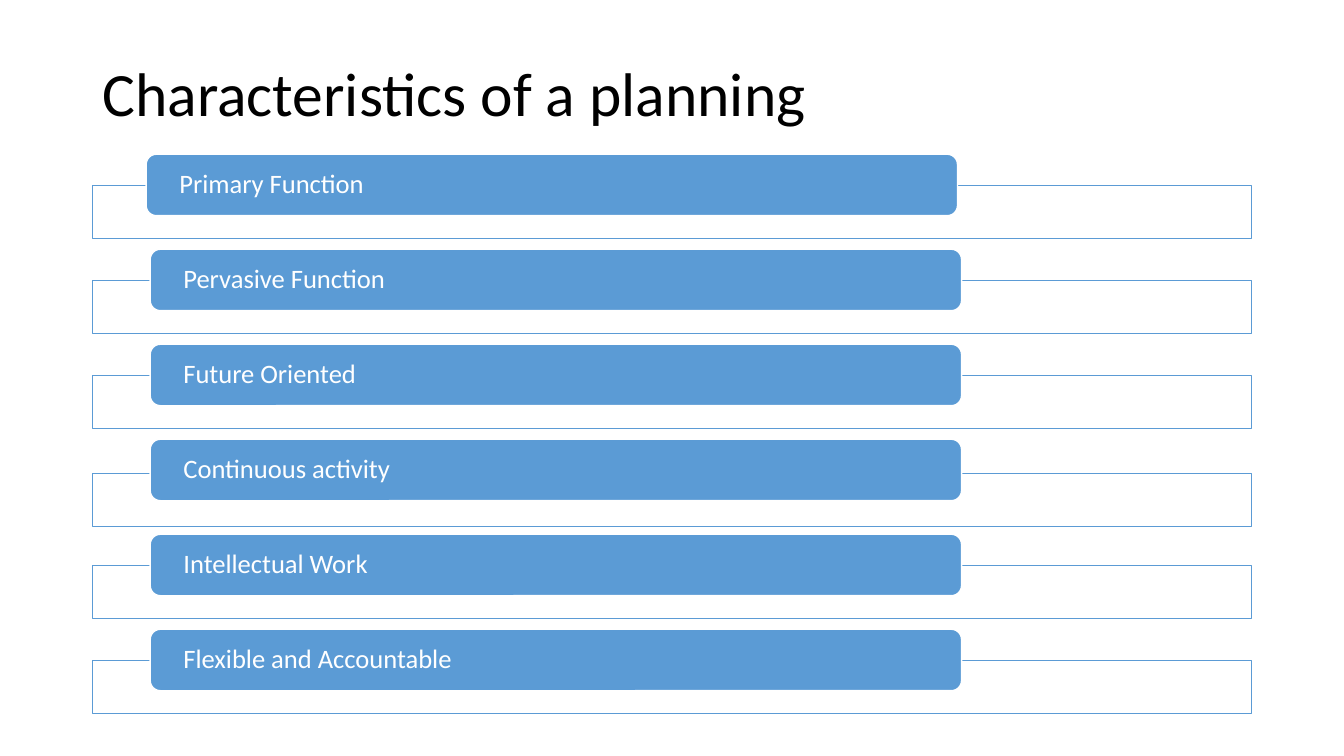
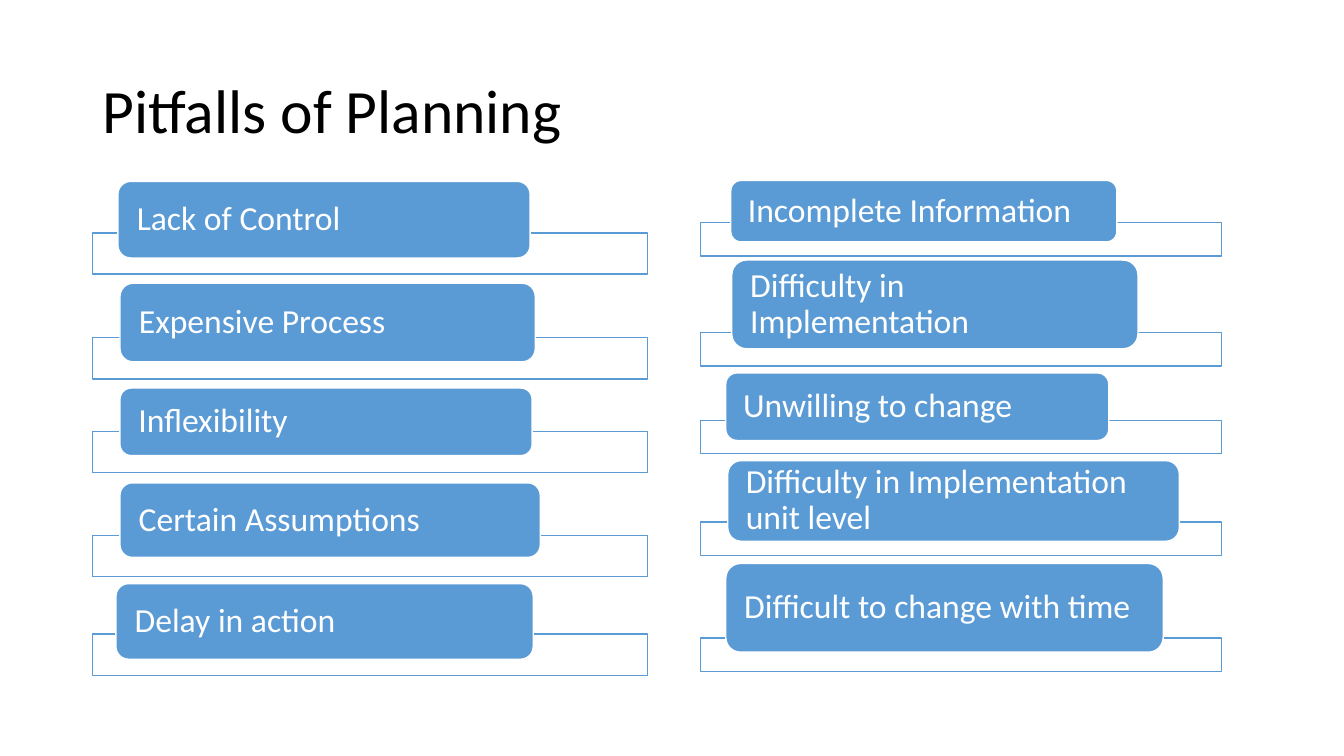
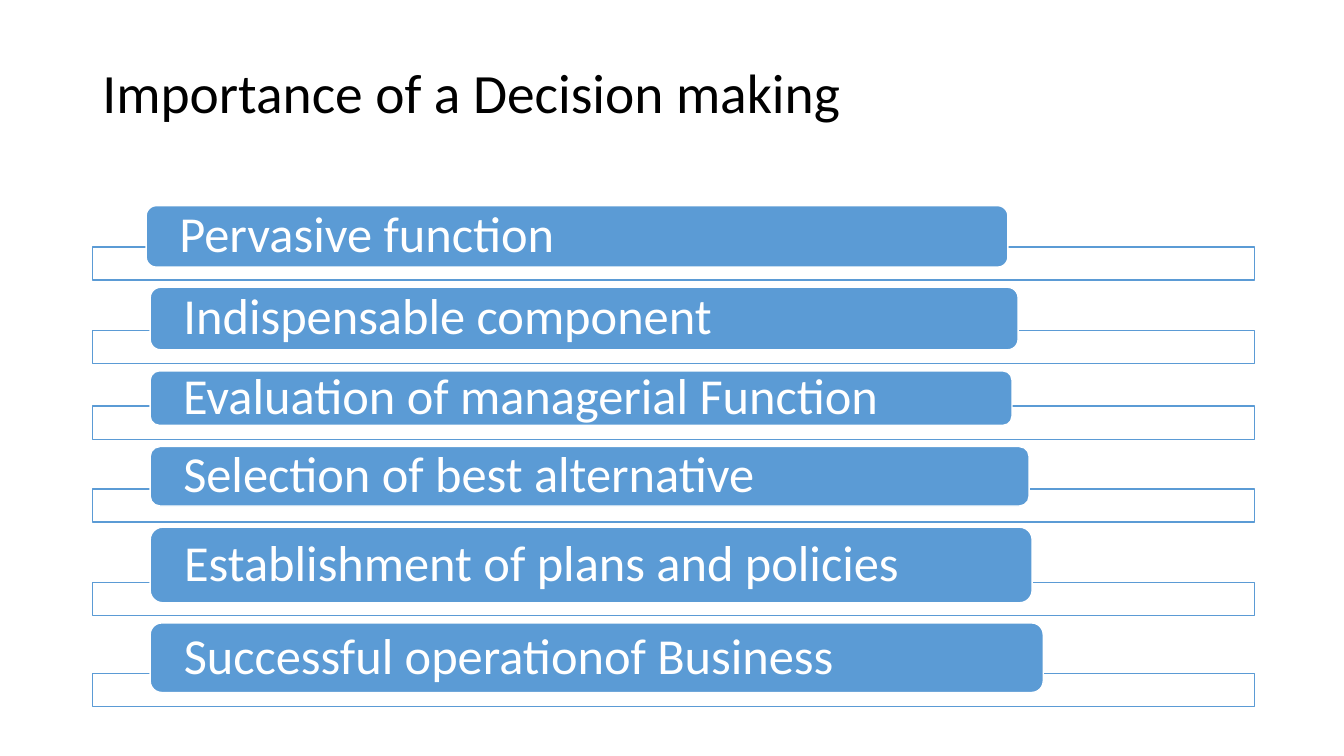
from dataclasses import dataclass
from typing import NamedTuple

from lxml import etree
from pptx import Presentation
from pptx import util as u
from pptx.dml.color import RGBColor
from pptx.enum import shapes, text
from pptx.oxml import ns

COLUMNS, ROWS = 40, 30
SLIDE_WIDTH, SLIDE_HEIGHT = u.Inches(13.333), u.Inches(7.5)
MARGIN = 2.75


@dataclass(frozen=True)
class Theme:
    """Colours, font and type sizes of the presentation."""
    font: str = "Calibri"
    accent: RGBColor = RGBColor(0x5B, 0x9B, 0xD5)
    paper: RGBColor = RGBColor(0xFF, 0xFF, 0xFF)
    ink: RGBColor = RGBColor(0, 0, 0)
    title: float = 44
    long_title: float = 39.6
    small: float = 19
    medium: float = 24
    large: float = 36
    line: float = 1
    line_spacing: float = 0.9
    track_opacity: int = 90


THEME = Theme()


class Box(NamedTuple):
    """A place on the grid, in columns and rows."""
    left: float
    top: float
    width: float
    height: float


class Item(NamedTuple):
    """A label on a rounded pill, and the top of the track behind it."""
    label: str
    pill: Box
    track_top: float


@dataclass(frozen=True)
class ItemList:
    """A column of items whose tracks share one left edge and size."""
    items: list[Item]
    track_left: float
    track_width: float
    track_height: float
    inset: float
    size: float


@dataclass(frozen=True)
class Page:
    """One slide: its title and its lists."""
    title: str
    title_box: Box
    title_size: float
    lists: list[ItemList]


def across(columns: float) -> int:
    """Turn grid columns into a length."""
    return round(SLIDE_WIDTH * columns / COLUMNS)


def down(rows: float) -> int:
    """Turn grid rows into a length."""
    return round(SLIDE_HEIGHT * rows / ROWS)


def place(box: Box) -> tuple[int, int, int, int]:
    """Turn a grid box into left, top, width and height."""
    return across(box.left), down(box.top), across(box.width), down(box.height)


def set_all(target, values: dict) -> None:
    """Set each named attribute on the target."""
    for name, value in values.items():
        setattr(target, name, value)


def write(shape, wording: str, size: float, color: RGBColor, inset: dict) -> None:
    """Put one left-aligned, vertically centred paragraph in a shape."""
    frame = shape.text_frame
    frame.text = wording
    set_all(frame, {"word_wrap": True, "auto_size": text.MSO_AUTO_SIZE.NONE,
                    "vertical_anchor": text.MSO_ANCHOR.MIDDLE, **inset})
    paragraph = frame.paragraphs[0]
    set_all(paragraph, {"alignment": text.PP_ALIGN.LEFT,
                        "line_spacing": THEME.line_spacing})
    font = paragraph.runs[0].font
    set_all(font, {"name": THEME.font, "size": u.Pt(size)})
    font.color.rgb = color


def add_block(group, kind, box: Box, fill: RGBColor, line: RGBColor):
    """Add a filled, outlined shape without a shadow."""
    shape = group.shapes.add_shape(kind, *place(box))
    shape.shadow.inherit = False
    shape.fill.solid()
    shape.fill.fore_color.rgb = fill
    shape.line.color.rgb = line
    shape.line.width = u.Pt(THEME.line)
    return shape


def set_opacity(shape, percent: int) -> None:
    """Make a solid shape fill partly transparent."""
    color = shape.element.spPr.find(ns.qn("a:solidFill"))[0]
    etree.SubElement(color, ns.qn("a:alpha"), val=str(percent * 1000))


def add_list(slide, item_list: ItemList) -> None:
    """Draw each item of a list as a pill over its track."""
    group = slide.shapes.add_group_shape()
    inset = {"margin_left": across(item_list.inset), "margin_top": 0,
             "margin_right": across(item_list.inset), "margin_bottom": 0}
    for item in item_list.items:
        track_box = Box(item_list.track_left, item.track_top,
                        item_list.track_width, item_list.track_height)
        track = add_block(group, shapes.MSO_SHAPE.RECTANGLE, track_box,
                          THEME.paper, THEME.accent)
        set_opacity(track, THEME.track_opacity)
        pill = add_block(group, shapes.MSO_SHAPE.ROUNDED_RECTANGLE, item.pill,
                         THEME.accent, THEME.paper)
        write(pill, item.label, item_list.size, THEME.paper, inset)


def add_page(presentation, page: Page) -> None:
    """Add a title-only slide with its lists."""
    slide = presentation.slides.add_slide(presentation.slide_layouts[5])
    title = slide.shapes.title
    set_all(title, dict(zip(("left", "top", "width", "height"),
                            place(page.title_box))))
    write(title, page.title, page.title_size, THEME.ink, {})
    for item_list in page.lists:
        add_list(slide, item_list)


def even_items(labels: list[str]) -> list[Item]:
    """Space equal pills evenly; the first sits left, the fourth track low."""
    pitch = 3.77
    return [Item(label,
                 Box(4.47 if index else 4.35, 6.12 + pitch * index, 24.15, 2.44),
                 7.36 + pitch * index + (0.12 if index == 3 else 0))
            for index, label in enumerate(labels)]


CHARACTERISTICS = ItemList(
    even_items(["Primary Function", "Pervasive Function", "Future Oriented",
                "Continuous activity", "Intellectual Work",
                "Flexible and Accountable"]),
    MARGIN, 34.5, 2.1, 0.9, THEME.small)

GENERAL_PITFALLS = ItemList([
    Item("Lack of Control", Box(3.51, 7.2, 12.27, 3.04), 9.24),
    Item("Expensive Process", Box(3.57, 11.24, 12.36, 3.12), 13.4),
    Item("Inflexibility", Box(3.57, 15.4, 12.27, 2.68), 17.12),
    Item("Certain Assumptions", Box(3.57, 19.16, 12.51, 2.96), 21.24),
    Item("Delay in action", Box(3.45, 23.16, 12.42, 3), 25.16),
], MARGIN, 16.53, 1.64, 0.45, THEME.medium)

CHANGE_PITFALLS = ItemList([
    Item("Incomplete Information", Box(21.75, 7.16, 11.49, 2.44), 8.84),
    Item("Difficulty in Implementation", Box(21.78, 10.32, 12.09, 3.52), 13.2),
    Item("Unwilling to change", Box(21.6, 14.8, 11.4, 2.68), 16.68),
    Item("Difficulty in Implementation unit level",
         Box(21.66, 18.28, 13.44, 3.2), 20.72),
    Item("Difficult to change with time", Box(21.6, 22.36, 13.02, 3.52), 25.32),
], 20.85, 15.51, 1.32, 0.42, THEME.medium)

IMPORTANCE = ItemList([
    Item("Pervasive function", Box(4.35, 8.16, 25.65, 2.44), 9.8),
    Item("Indispensable component", Box(4.47, 11.4, 25.83, 2.48), 13.12),
    Item("Evaluation of managerial Function", Box(4.47, 14.72, 25.65, 2.16), 16.12),
    Item("Selection of best alternative", Box(4.47, 17.72, 26.16, 2.36), 19.4),
    Item("Establishment of plans and policies", Box(4.47, 20.92, 26.25, 3), 23.12),
    Item("Successful operationof Business", Box(4.47, 24.72, 26.58, 2.76), 26.72),
], MARGIN, 34.59, 1.32, 0.9, THEME.large)

PAGES = [
    Page("Characteristics of a planning", Box(MARGIN, 1.6, 34.14, 4.44),
         THEME.title, [CHARACTERISTICS]),
    Page("Pitfalls of Planning", Box(MARGIN, 1.6, 34.5, 5.8),
         THEME.title, [GENERAL_PITFALLS, CHANGE_PITFALLS]),
    Page("Importance of a Decision making", Box(MARGIN, 2.76, 32.49, 2.08),
         THEME.long_title, [IMPORTANCE]),
]


def main() -> None:
    """Build and save the presentation."""
    presentation = Presentation()
    set_all(presentation, {"slide_width": SLIDE_WIDTH, "slide_height": SLIDE_HEIGHT})
    for page in PAGES:
        add_page(presentation, page)
    presentation.save("out.pptx")


main()
